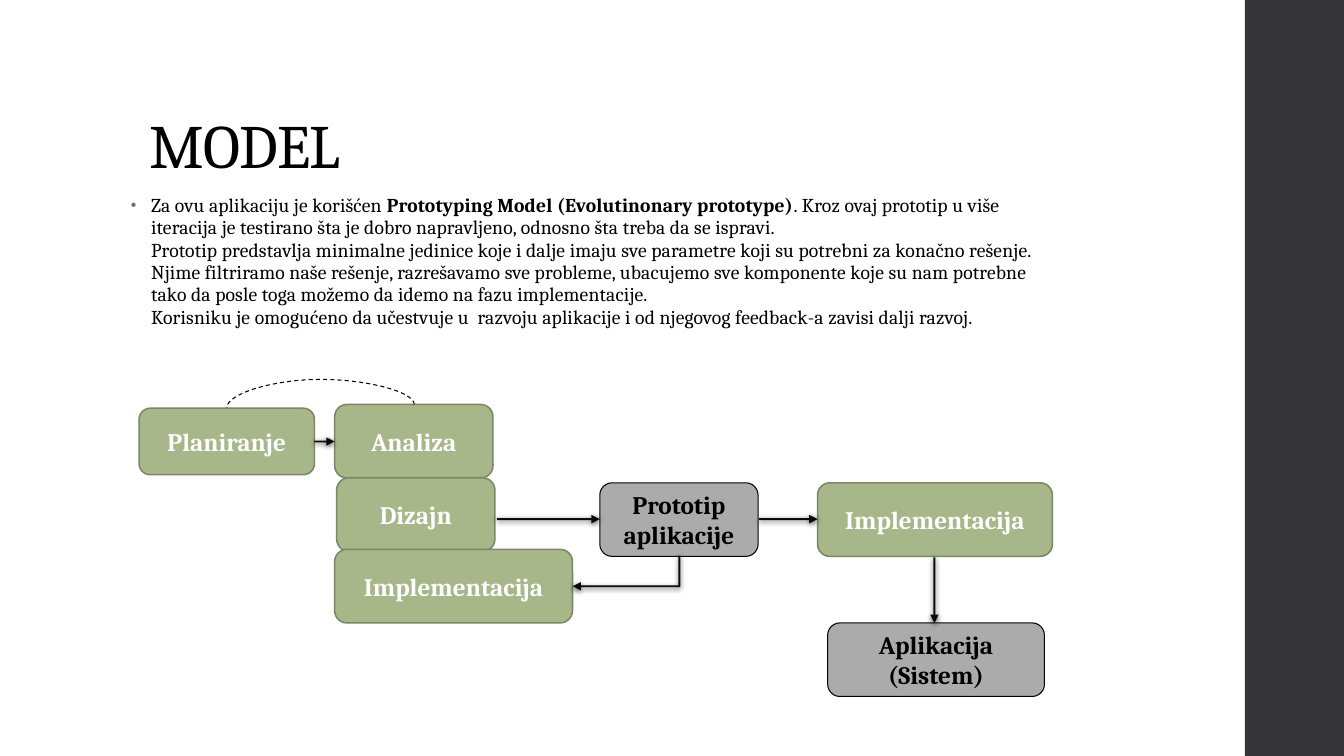
import math
from dataclasses import dataclass

from lxml import etree
from pptx import Presentation
from pptx import util as u
from pptx.dml import color
from pptx.enum import dml, shapes, text
from pptx.oxml import ns

COLOURS = {
    "ink": "000000",
    "paper": "FFFFFF",
    "band": "353537",
    "bullet": "6F6F74",
    "green": "A7B789",
    "moss": "7C8765",
    "grey": "ABABAB",
}
FONT = "Cambria"
WIDTH, HEIGHT = u.Inches(13.333), u.Inches(7.5)
BOX_HEIGHT = 9.73


@dataclass(frozen=True)
class Area:
    left: float
    top: float
    width: float
    height: float = BOX_HEIGHT


@dataclass(frozen=True)
class Look:
    fill: str
    line: str
    weight: float
    ink: str


@dataclass(frozen=True)
class Step:
    label: str
    area: Area
    look: Look


@dataclass(frozen=True)
class Link:
    start: tuple[float, float]
    end: tuple[float, float]
    preset: str = "line"
    turn: int = 0
    adjust: int | None = None
    arrow: bool = True


PHASE = Look("green", "moss", 1.1, "paper")
PRODUCT = Look("grey", "ink", 0.75, "ink")

BAND = Area(92.63, 0, 7.37, 100)
TITLE = Area(10.35, 5.33, 79.5, 19.33)
BODY = Area(9, 25.07, 70.5, 63.47)

STEPS = [
    Step("Planiranje", Area(10.35, 54, 13.05, 8.8), PHASE),
    Step("Analiza", Area(24.9, 53.5, 11.78), PHASE),
    Step("Dizajn", Area(25.05, 63.2, 11.78), PHASE),
    Step("Implementacija", Area(24.9, 72.67, 17.7), PHASE),
    Step("Prototip aplikacije", Area(44.63, 63.87, 11.78), PRODUCT),
    Step("Implementacija", Area(60.83, 63.87, 17.48), PHASE),
    Step("Aplikacija (Sistem)", Area(61.58, 82.4, 16.13), PRODUCT),
]

LINKS = [
    Link((23.4, 58.4), (24.9, 58.4)),
    Link((36.98, 68.67), (44.63, 68.67)),
    Link((56.48, 68.67), (60.83, 68.67)),
    Link((69.53, 73.73), (69.53, 82.4)),
    Link((50.55, 73.5), (42.6, 77.55), "bentConnector2", 90),
    Link((30.83, 53.5), (16.88, 53.94), "curvedConnector3", 270, -751200, False),
]

BODY_LINES = [
    [
        ("Za ovu aplikaciju je korišćen ", False),
        ("Prototyping Model (Evolutinonary prototype)", True),
        (". Kroz ovaj prototip u više iteracija je testirano šta je dobro "
         "napravljeno, odnosno šta treba da se ispravi.", False),
    ],
    [
        ("Prototip predstavlja minimalne jedinice koje i dalje imaju sve parametre "
         "koji su potrebni za konačno rešenje. Njime filtriramo naše rešenje, "
         "razrešavamo sve probleme, ubacujemo sve komponente koje su nam potrebne "
         "tako da posle toga možemo da idemo na fazu implementacije.", False),
    ],
    [
        ("Korisniku je omogućeno da učestvuje u  razvoju aplikacije i od njegovog "
         "feedback-a zavisi dalji razvoj.", False),
    ],
]


def across(share: float) -> int:
    return round(WIDTH * share / 100)


def down(share: float) -> int:
    return round(HEIGHT * share / 100)


def bounds(area: Area) -> tuple[int, int, int, int]:
    return across(area.left), down(area.top), across(area.width), down(area.height)


def rgb(name: str) -> color.RGBColor:
    return color.RGBColor.from_string(COLOURS[name])


def assign(target, values: dict) -> None:
    for name, value in values.items():
        setattr(target, name, value)


def add_element(parent, tag: str, **values):
    return etree.SubElement(parent, ns.qn(tag), {k: str(v) for k, v in values.items()})


def add_span(para, words: str, size: float, ink: str, bold: bool = False, spacing: int = 0) -> None:
    span = para.add_run()
    span.text = words
    assign(span.font, {"name": FONT, "size": u.Pt(size), "bold": bold})
    span.font.color.rgb = rgb(ink)
    if spacing:
        span.font._element.set("spc", str(spacing))


def add_title(page) -> None:
    box = page.shapes.title
    assign(box, dict(zip(("left", "top", "width", "height"), bounds(TITLE))))
    assign(box.text_frame, {"vertical_anchor": text.MSO_ANCHOR.BOTTOM,
                            "auto_size": text.MSO_AUTO_SIZE.NONE, "word_wrap": True})
    para = box.text_frame.paragraphs[0]
    assign(para, {"alignment": text.PP_ALIGN.LEFT, "line_spacing": 0.9})
    add_span(para, "MODEL", 44, "ink", spacing=-50)


def add_body(page) -> None:
    box = page.shapes.add_textbox(*bounds(BODY))
    box.text_frame.word_wrap = True
    para = box.text_frame.paragraphs[0]
    assign(para, {"line_spacing": 0.95, "space_before": u.Pt(14), "space_after": u.Pt(2)})
    layout = para._p.get_or_add_pPr()
    layout.set("marL", str(u.Inches(0.2)))
    layout.set("indent", str(-u.Inches(0.2)))
    add_element(add_element(layout, "a:buClr"), "a:srgbClr", val=COLOURS["bullet"])
    add_element(layout, "a:buSzPct", val=80000)
    add_element(layout, "a:buFont", typeface="Arial")
    add_element(layout, "a:buChar", char="•")
    for index, line in enumerate(BODY_LINES):
        if index:
            para.add_line_break()
        for words, bold in line:
            add_span(para, words, 14, "ink", bold, 10)


def add_block(page, preset, area: Area, fill: str):
    box = page.shapes.add_shape(preset, *bounds(area))
    box.shadow.inherit = False
    box.fill.solid()
    box.fill.fore_color.rgb = rgb(fill)
    return box


def add_step(page, step: Step) -> None:
    box = add_block(page, shapes.MSO_SHAPE.ROUNDED_RECTANGLE, step.area, step.look.fill)
    box.line.color.rgb = rgb(step.look.line)
    box.line.width = u.Pt(step.look.weight)
    assign(box.text_frame, {"vertical_anchor": text.MSO_ANCHOR.MIDDLE, "word_wrap": True})
    para = box.text_frame.paragraphs[0]
    para.alignment = text.PP_ALIGN.CENTER
    add_span(para, step.label, 18, step.look.ink, True)


def add_link(page, link: Link) -> None:
    x1, y1 = across(link.start[0]), down(link.start[1])
    x2, y2 = across(link.end[0]), down(link.end[1])
    middle_x, middle_y = (x1 + x2) / 2, (y1 + y2) / 2
    cos, sin = (f(math.radians(link.turn)) for f in (math.cos, math.sin))
    dx = (x1 - middle_x) * cos + (y1 - middle_y) * sin
    dy = (y1 - middle_y) * cos - (x1 - middle_x) * sin
    ends = (middle_x + dx, middle_y + dy, middle_x - dx, middle_y - dy)
    line = page.shapes.add_connector(shapes.MSO_CONNECTOR.STRAIGHT, *map(round, ends))
    line.line.color.rgb = rgb("ink")
    line.line.width = u.Pt(1.35 if link.arrow else 0.75)
    properties = line._element.spPr
    if link.turn:
        properties.find(ns.qn("a:xfrm")).set("rot", str(link.turn * 60000))
    geometry = properties.find(ns.qn("a:prstGeom"))
    geometry.set("prst", link.preset)
    if link.adjust is not None:
        guides = geometry.find(ns.qn("a:avLst"))
        add_element(guides, "a:gd", name="adj1", fmla=f"val {link.adjust}")
    effects = add_element(properties, "a:effectLst")
    if not link.arrow:
        line.line.dash_style = dml.MSO_LINE.DASH
        return
    stroke = properties.find(ns.qn("a:ln"))
    add_element(stroke.find(".//" + ns.qn("a:srgbClr")), "a:alpha", val=95000)
    add_element(stroke, "a:tailEnd", type="triangle")
    shadow = add_element(effects, "a:outerShdw", blurRad=u.Pt(4), dist=u.Pt(1.2),
                         dir=5400000, rotWithShape=0)
    add_element(add_element(shadow, "a:srgbClr", val=COLOURS["ink"]), "a:alpha", val=75000)


def main() -> None:
    deck = Presentation()
    assign(deck, {"slide_width": WIDTH, "slide_height": HEIGHT})
    page = deck.slides.add_slide(deck.slide_layouts.get_by_name("Title Only"))
    band = add_block(page, shapes.MSO_SHAPE.RECTANGLE, BAND, "band")
    band.line.fill.background()
    add_title(page)
    add_body(page)
    for step in STEPS:
        add_step(page, step)
    for link in LINKS:
        add_link(page, link)
    deck.save("out.pptx")


if __name__ == "__main__":
    main()
